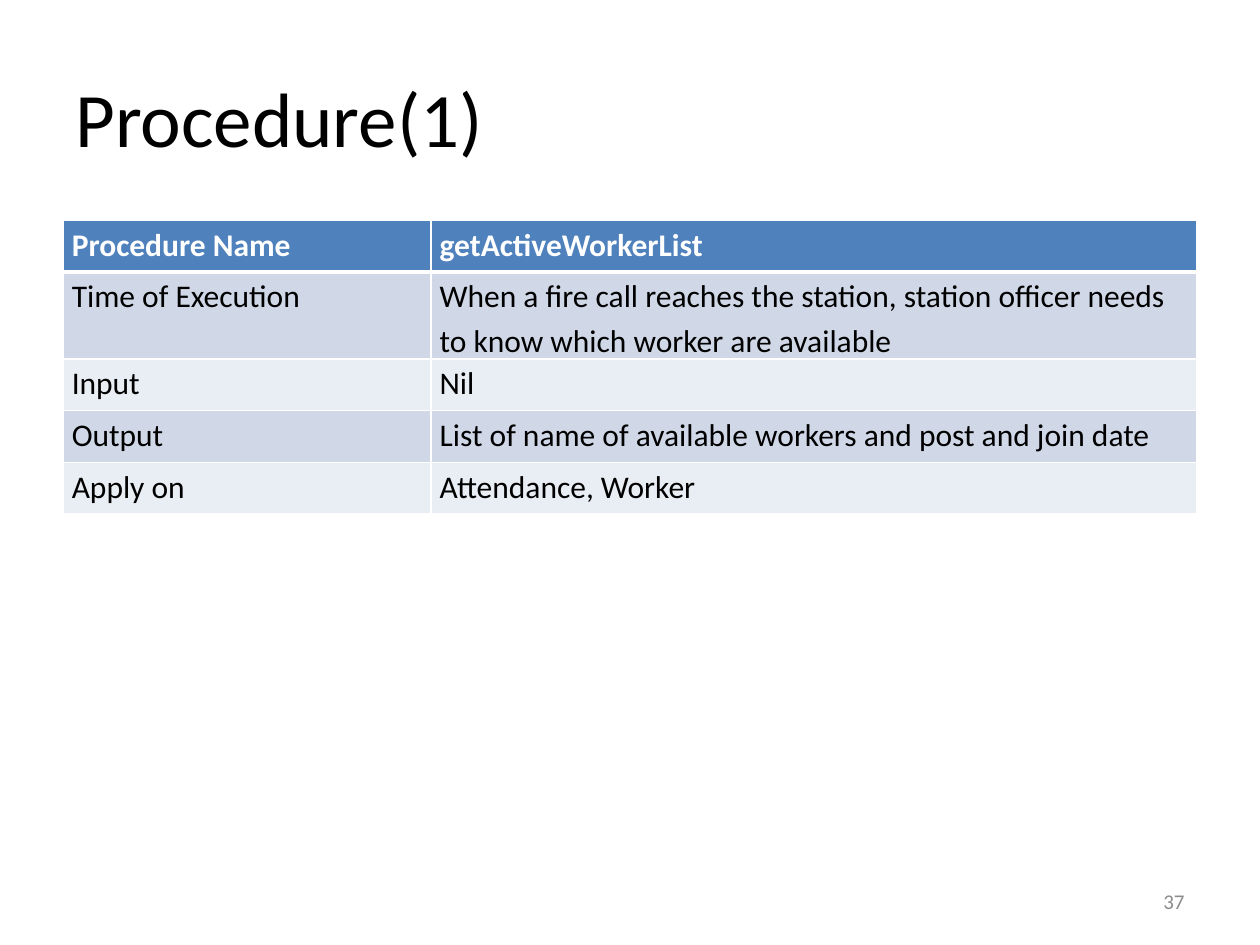
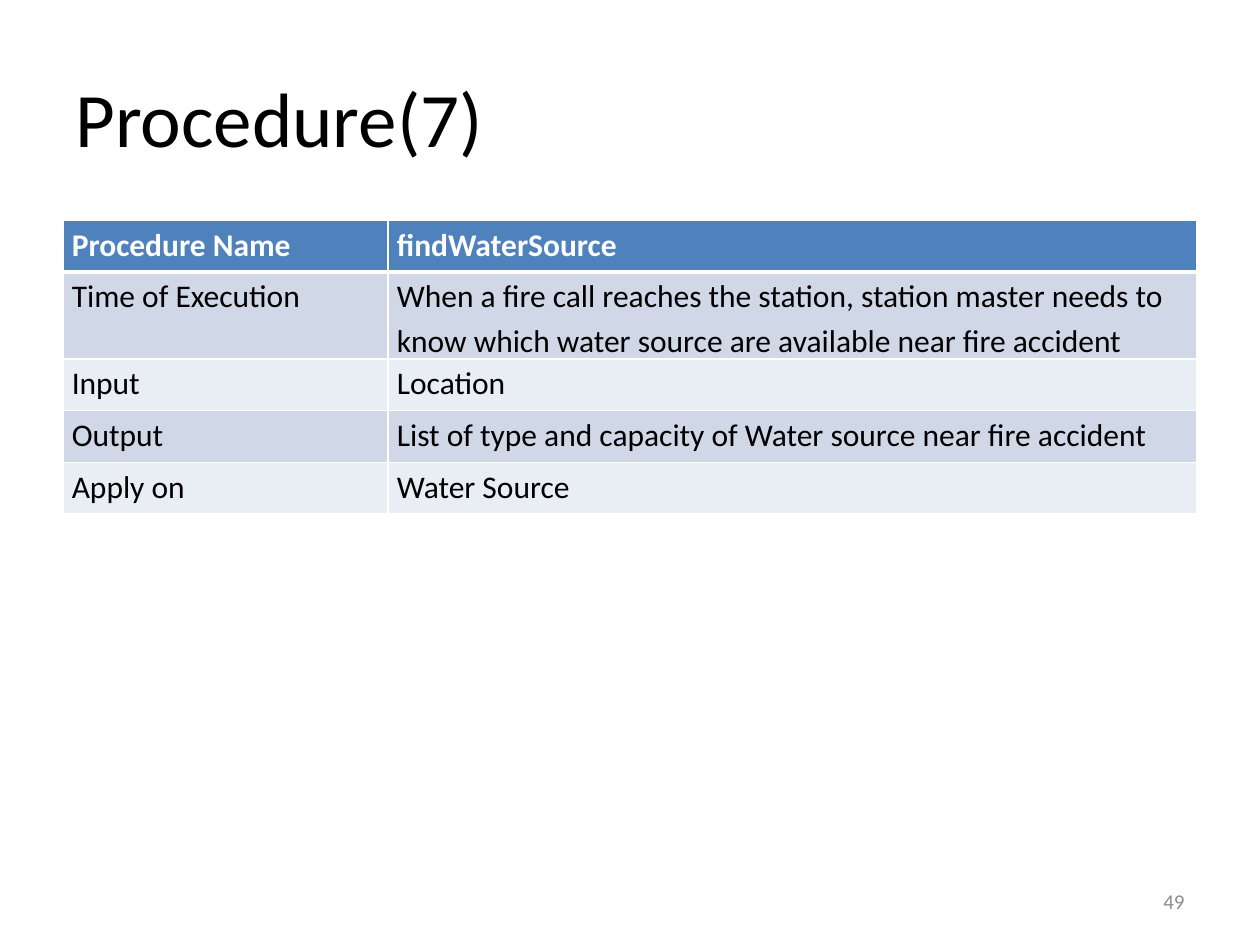
from typing import NamedTuple

from lxml import etree
from pptx import Presentation
from pptx import util as u
from pptx.dml.color import RGBColor
from pptx.enum import text
from pptx.oxml import ns

SLIDE_WIDTH, SLIDE_HEIGHT = u.Inches(10), u.Inches(7.5)
FONT = "Calibri"
BLACK = RGBColor(0x00, 0x00, 0x00)
WHITE = RGBColor(0xFF, 0xFF, 0xFF)
GREY = RGBColor(0x8C, 0x8C, 0x8C)
HEADER_BLUE = RGBColor(0x4F, 0x81, 0xBD)
BAND_COLOURS = (RGBColor(0xE9, 0xED, 0xF4), RGBColor(0xD0, 0xD8, 0xE8))

ROW_LABELS = ("Procedure Name", "Time of Execution", "Input", "Output", "Apply on")
ROW_HEIGHT = u.Inches(0.41)
THIN, THICK = u.Pt(1), u.Pt(3)


class Box(NamedTuple):
    """A frame in inches."""
    left: float
    top: float
    width: float
    height: float

    def lengths(self) -> list[u.Inches]:
        return [u.Inches(value) for value in self]


class TextStyle(NamedTuple):
    size: float
    colour: RGBColor
    bold: bool = False
    align: text.PP_ALIGN = text.PP_ALIGN.LEFT
    line_spacing: float = 1.0


class Procedure(NamedTuple):
    number: int
    page: int
    label_width: float
    values: tuple[str, ...]


TITLE_BOX = Box(0.5, 0.3, 9, 1.25)
TABLE_BOX = Box(0.5, 1.75, 9, 2.05)
PAGE_BOX = Box(7.17, 6.95, 2.33, 0.4)

TITLE = TextStyle(44, BLACK)
PAGE_NUMBER = TextStyle(12, GREY, align=text.PP_ALIGN.RIGHT)
HEADER = TextStyle(18, WHITE, bold=True, line_spacing=1.15)
BODY = TextStyle(18, BLACK, line_spacing=1.15)

PROCEDURES = (
    Procedure(1, 37, 2.92, (
        "getActiveWorkerList",
        "When a fire call reaches the station, station officer needs "
        "to know which worker are available",
        "Nil",
        "List of name of available workers and post and join date",
        "Attendance, Worker",
    )),
    Procedure(7, 49, 2.58, (
        "findWaterSource",
        "When a fire call reaches the station, station master needs "
        "to know which water source are available near fire accident",
        "Location",
        "List of type and capacity of Water source near fire accident",
        "Water Source",
    )),
)


def write(text_frame, wording: str, style: TextStyle) -> None:
    text_frame.text = wording
    paragraph = text_frame.paragraphs[0]
    paragraph.alignment = style.align
    paragraph.line_spacing = style.line_spacing
    font = paragraph.runs[0].font
    font.name, font.size, font.bold = FONT, u.Pt(style.size), style.bold
    font.color.rgb = style.colour


def add_text(slide, box: Box, wording: str, style: TextStyle) -> None:
    text_frame = slide.shapes.add_textbox(*box.lengths()).text_frame
    text_frame.word_wrap = True
    text_frame.vertical_anchor = text.MSO_ANCHOR.MIDDLE
    write(text_frame, wording, style)


def set_borders(cell, top: int, bottom: int) -> None:
    """Draw white borders; the schema wants them ahead of the cell's fill."""
    properties = cell._tc.get_or_add_tcPr()
    widths = {"a:lnL": THIN, "a:lnR": THIN, "a:lnT": top, "a:lnB": bottom}
    for position, (tag, width) in enumerate(widths.items()):
        line = etree.Element(ns.qn(tag), w=str(int(width)))
        fill = etree.SubElement(line, ns.qn("a:solidFill"))
        etree.SubElement(fill, ns.qn("a:srgbClr"), val=str(WHITE))
        properties.insert(position, line)


def format_cell(cell, row: int, wording: str) -> None:
    is_header = row == 0
    cell.margin_left = cell.margin_right = u.Inches(0.07)
    cell.margin_top = cell.margin_bottom = 0
    write(cell.text_frame, wording, HEADER if is_header else BODY)
    cell.fill.solid()
    cell.fill.fore_color.rgb = HEADER_BLUE if is_header else BAND_COLOURS[row % 2]
    set_borders(cell, THICK if row == 1 else THIN, THICK if is_header else THIN)


def add_procedure_table(slide, procedure: Procedure) -> None:
    table = slide.shapes.add_table(len(ROW_LABELS), 2, *TABLE_BOX.lengths()).table
    table.columns[0].width = u.Inches(procedure.label_width)
    table.columns[1].width = u.Inches(TABLE_BOX.width - procedure.label_width)
    for row, wordings in enumerate(zip(ROW_LABELS, procedure.values)):
        table.rows[row].height = ROW_HEIGHT
        for column, wording in enumerate(wordings):
            format_cell(table.cell(row, column), row, wording)


def add_procedure_slide(presentation, procedure: Procedure) -> None:
    slide = presentation.slides.add_slide(presentation.slide_layouts[6])
    slide.background.fill.solid()
    slide.background.fill.fore_color.rgb = WHITE
    add_text(slide, TITLE_BOX, f"Procedure({procedure.number})", TITLE)
    add_procedure_table(slide, procedure)
    add_text(slide, PAGE_BOX, str(procedure.page), PAGE_NUMBER)


def main() -> None:
    presentation = Presentation()
    presentation.slide_width, presentation.slide_height = SLIDE_WIDTH, SLIDE_HEIGHT
    for procedure in PROCEDURES:
        add_procedure_slide(presentation, procedure)
    presentation.save("out.pptx")


if __name__ == "__main__":
    main()
